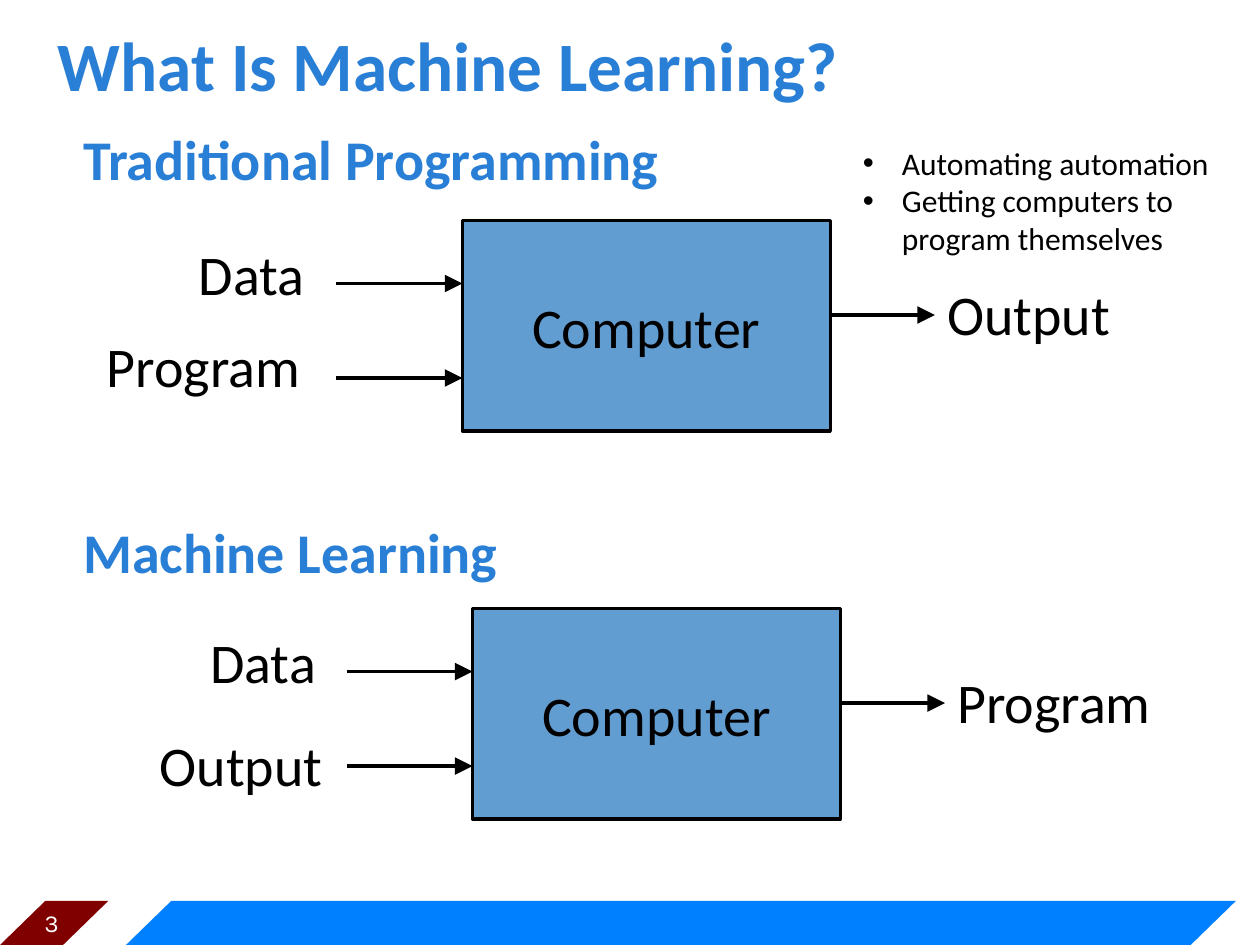
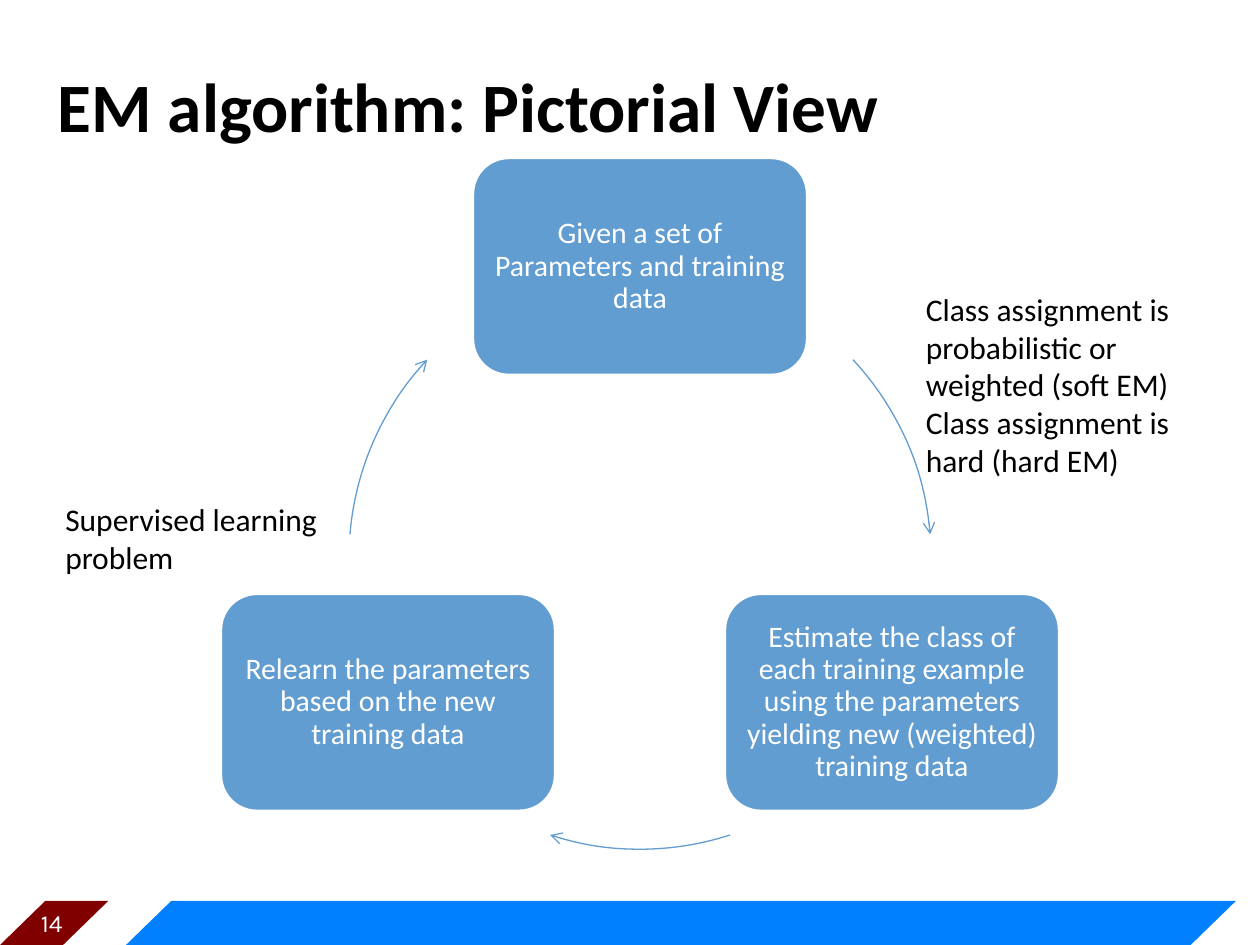
from dataclasses import dataclass
from math import cos, radians, sin

from lxml.etree import SubElement
from pptx import Presentation
from pptx.dml.color import RGBColor
from pptx.enum.shapes import MSO_CONNECTOR, MSO_SHAPE
from pptx.enum.text import MSO_ANCHOR as Anchor, MSO_AUTO_SIZE as AutoSize, PP_ALIGN as Align
from pptx.oxml.ns import qn
from pptx.util import Inches, Pt


@dataclass(frozen=True)
class Theme:
    font: str = "Calibri"
    number_font: str = "Karla"
    ink: str = "000000"
    paper: str = "FFFFFF"
    heading: str = "297FD5"
    box: str = "629DD1"
    band: str = "0080FF"
    tab: str = "800000"
    title_size: float = 39.6
    diagram_size: float = 32
    note_size: float = 18
    step_size: float = 17
    number_size: float = 14


THEME = Theme()

# Content: programming paradigms
PARADIGMS_TITLE = "What Is Machine Learning?"
HEADINGS = ["Traditional Programming", "Machine Learning"]
AUTOMATION_NOTES = ["Automating automation", "Getting computers to program themselves"]
LABEL_WIDTHS = {"Data": 1.14, "Program": 1.9, "Output": 1.53}
# Each label: word, then its offset from the corner of the computer box
PARADIGMS = [
    {"corner": (3.67, 1.75),
     "labels": [("Data", -2.19, 0.1), ("Program", -2.92, 0.83), ("Output", 3.75, 0.42)]},
    {"corner": (3.75, 4.83),
     "labels": [("Data", -2.18, 0.1), ("Output", -2.58, 0.92), ("Program", 3.75, 0.42)]},
]
COMPUTER_SIZE = (2.92, 1.67)
# Arrows: start x, end x and height, from the same corner
FLOWS = [(-1, 0, 0.5), (-1, 0, 1.25), (2.92, 3.75, 0.75)]

# Content: EM cycle
EM_TITLE = "EM algorithm: Pictorial View"
CYCLE_CENTER, CYCLE_RADIUS = (5.08, 4.43), 2.31
STEP_SIZE = (2.66, 1.73)
# Each step: text, its left and top, then start angle and sweep of the arrow leaving it
STEPS = [
    ("Given a set of Parameters and training data", 3.75, 1.25, 317, 38.3),
    ("Estimate the class of each training example using the parameters "
     "yielding new (weighted) training data", 5.75, 4.71, 72, 36),
    ("Relearn the parameters based on the new training data", 1.75, 4.71, 184.7, 38.3),
]
EM_NOTES = [
    (["Class assignment is probabilistic or weighted (soft EM)",
      "Class assignment is hard (hard EM)"], (7.25, 2.25, 2.63, 1.62)),
    (["Supervised learning problem"], (0.42, 3.92, 2.63, 0.71)),
]


# Shared helpers
def place(shape, *box):
    shape.left, shape.top, shape.width, shape.height = map(Inches, box)


def write(shape, lines, size, color=THEME.ink, bold=False, align=Align.LEFT,
          anchor=Anchor.TOP, wrap=True, font=THEME.font):
    frame = shape.text_frame
    frame.text = "\n".join(lines)
    frame.auto_size = AutoSize.NONE
    frame.word_wrap = wrap
    frame.vertical_anchor = anchor
    for paragraph in frame.paragraphs:
        paragraph.alignment = align
        for run in paragraph.runs:
            run.font.name, run.font.size, run.font.bold = font, Pt(size), bold
            run.font.color.rgb = RGBColor.from_string(color)
    return frame


def set_bullet(paragraph, margin, indent, char=None):
    props = paragraph._p.get_or_add_pPr()
    props.set("marL", str(Inches(margin)))
    props.set("indent", str(Inches(indent)))
    if char:
        SubElement(props, qn("a:buFont"), typeface="Arial")
        SubElement(props, qn("a:buChar"), char=char)
    else:
        SubElement(props, qn("a:buNone"))


def add_text(slide, lines, box, size, **style):
    label = slide.shapes.add_textbox(*map(Inches, box))
    return write(label, lines, size, **style)


def add_block(slide, kind, box, fill, line=None):
    block = slide.shapes.add_shape(kind, *map(Inches, box))
    block.shadow.inherit = False
    block.fill.solid()
    block.fill.fore_color.rgb = RGBColor.from_string(fill)
    if line:
        set_line(block, line, 2)
    else:
        block.line.fill.background()
    return block


def set_line(shape, color, width, **arrowhead):
    shape.line.color.rgb = RGBColor.from_string(color)
    shape.line.width = Pt(width)
    if arrowhead:
        SubElement(shape.element.spPr.find(qn("a:ln")), qn("a:tailEnd"), **arrowhead)


def add_slide(deck, layout, title, number, color, title_top):
    slide = deck.slides.add_slide(deck.slide_layouts[layout])
    # Footer bands and page number
    for left, width, fill in [(0.98, 8.83, THEME.band), (-0.02, 0.88, THEME.tab)]:
        band = add_block(slide, MSO_SHAPE.PARALLELOGRAM, (left, 7.15, width, 0.37), fill)
        band.adjustments[0] = 1.027
    add_text(slide, [number], (0.12, 7.15, 0.58, 0.34), THEME.number_size, color=THEME.paper,
             align=Align.CENTER, anchor=Anchor.MIDDLE, font=THEME.number_font)
    # Title
    place(slide.shapes.title, 0.36, title_top, 9.37, 0.77)
    write(slide.shapes.title, [title], THEME.title_size, color, bold=True, anchor=Anchor.MIDDLE)
    return slide


# Programming paradigms
def add_paradigm(slide, corner, labels):
    left, top = corner
    computer = add_block(slide, MSO_SHAPE.RECTANGLE, (left, top, *COMPUTER_SIZE),
                         THEME.box, THEME.ink)
    write(computer, ["Computer"], THEME.diagram_size, align=Align.CENTER,
          anchor=Anchor.MIDDLE, wrap=False)
    for start, end, height in FLOWS:
        y = Inches(top + height)
        flow = slide.shapes.add_connector(MSO_CONNECTOR.STRAIGHT,
                                          Inches(left + start), y, Inches(left + end), y)
        set_line(flow, THEME.ink, 2, type="triangle", w="lg", len="lg")
        SubElement(flow.element.spPr, qn("a:effectLst"))
    for word, dx, dy in labels:
        add_text(slide, [word], (left + dx, top + dy, LABEL_WIDTHS[word], 0.63),
                 THEME.diagram_size, wrap=False)


def build_paradigms(deck):
    slide = add_slide(deck, 1, PARADIGMS_TITLE, "3", THEME.heading, 0.12)
    body = slide.placeholders[1]
    place(body, 0.36, 0.94, 9.33, 5.85)
    headings = write(body, HEADINGS, THEME.diagram_size, THEME.heading, bold=True)
    for heading, gap in zip(headings.paragraphs, (6.4, 186)):
        heading.space_before = Pt(gap)
        set_bullet(heading, 0.2, 0)
    for paradigm in PARADIGMS:
        add_paradigm(slide, **paradigm)
    notes = add_text(slide, AUTOMATION_NOTES, (6.75, 1.09, 3.08, 1.01), THEME.note_size)
    for note in notes.paragraphs:
        set_bullet(note, 0.31, -0.31, "•")


# EM cycle
def add_cycle_arrow(slide, start, sweep):
    # The frame spans the whole circle, the outline only one arc of it
    radius = Inches(CYCLE_RADIUS)
    left, top = (Inches(middle) - radius for middle in CYCLE_CENTER)
    right, bottom = left + 2 * radius, top + 2 * radius
    builder = slide.shapes.build_freeform(left, top)
    builder.add_line_segments([(right, top), (right, bottom), (left, bottom)])
    arrow = builder.convert_to_shape()
    outline = next(arrow.element.iter(qn("a:path")))
    for segment in list(outline):
        outline.remove(segment)
    angle = radians(start)
    SubElement(SubElement(outline, qn("a:moveTo")), qn("a:pt"),
               x=str(round(radius * (1 + cos(angle)))), y=str(round(radius * (1 + sin(angle)))))
    SubElement(outline, qn("a:arcTo"), wR=str(radius), hR=str(radius),
               stAng=str(round(start * 60000)), swAng=str(round(sweep * 60000)))
    arrow.shadow.inherit = False
    arrow.fill.background()
    set_line(arrow, THEME.box, 0.75, type="arrow")


def build_em_cycle(deck):
    slide = add_slide(deck, 5, EM_TITLE, "14", THEME.ink, 0.45)
    for text, left, top, start, sweep in STEPS:
        step = add_block(slide, MSO_SHAPE.ROUNDED_RECTANGLE, (left, top, *STEP_SIZE),
                         THEME.box, THEME.paper)
        frame = write(step, [text], THEME.step_size, THEME.paper, align=Align.CENTER,
                      anchor=Anchor.MIDDLE)
        frame.margin_left = frame.margin_right = Inches(0.07)
        frame.margin_top = frame.margin_bottom = Inches(0.07)
        frame.paragraphs[0].line_spacing = 0.9
        add_cycle_arrow(slide, start, sweep)
    for lines, box in EM_NOTES:
        add_text(slide, lines, box, THEME.note_size)


def main():
    deck = Presentation()
    deck.slide_width, deck.slide_height = Inches(10), Inches(7.5)
    build_paradigms(deck)
    build_em_cycle(deck)
    deck.save("out.pptx")


if __name__ == "__main__":
    main()
